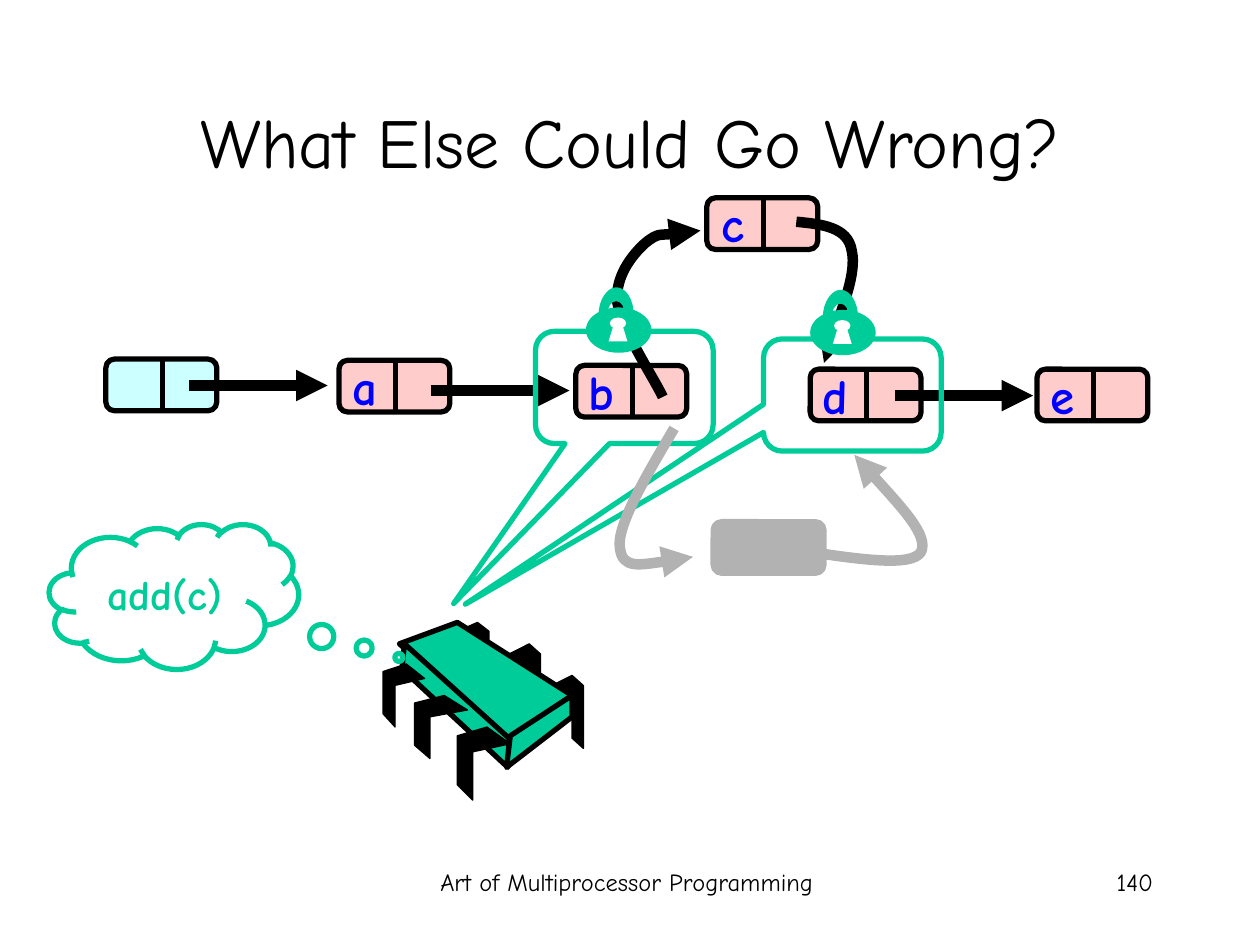
from lxml.etree import SubElement
from pptx import Presentation
from pptx.dml.color import RGBColor
from pptx.enum.shapes import MSO_CONNECTOR, MSO_SHAPE
from pptx.enum.text import MSO_ANCHOR, MSO_AUTO_SIZE, PP_ALIGN
from pptx.oxml.ns import qn
from pptx.util import Inches, Pt

FONT = "Comic Neue"
COLORS = {"black": "000000", "white": "FFFFFF", "blue": "0000FF", "green": "00CC99",
          "pink": "FFCCCC", "cyan": "CCFFFF", "gray": "B2B2B2"}
NODE_SIZE = (0.88, 0.41)


def rgb(name):
    """Return the named colour."""
    return RGBColor.from_string(COLORS[name])


def paint(shape, fill=None, line=None, width=3):
    """Set fill and line of a shape and remove its shadow."""
    shape.shadow.inherit = False
    if fill:
        shape.fill.solid()
        shape.fill.fore_color.rgb = rgb(fill)
    else:
        shape.fill.background()
    if line:
        shape.line.color.rgb = rgb(line)
        shape.line.width = Pt(width)
    else:
        shape.line.fill.background()
    return shape


def add_preset(slide, kind, box, fill=None, line=None, adjustments=()):
    """Add a painted preset shape."""
    s = slide.shapes.add_shape(kind, *map(Inches, box))
    for i, value in enumerate(adjustments):
        s.adjustments[i] = value
    return paint(s, fill, line)


def write(shape, text, size, align, color="black", bold=False):
    """Write one formatted run into a shape."""
    p = shape.text_frame.paragraphs[0]
    p.alignment = align
    r = p.add_run()
    r.text = text
    r.font.name = FONT
    r.font.size = Pt(size)
    r.font.bold = bold
    r.font.color.rgb = rgb(color)


def add_text(slide, box, text, size, align, color="black", bold=False, wrap=True):
    """Add a text box with one run."""
    s = slide.shapes.add_textbox(*map(Inches, box))
    s.text_frame.word_wrap = wrap
    if not wrap:
        s.text_frame.auto_size = MSO_AUTO_SIZE.SHAPE_TO_FIT_TEXT
    write(s, text, size, align, color, bold)


def add_arrowhead(shape):
    """Put a triangle at the end of a line."""
    SubElement(shape.element.spPr.find(qn("a:ln")), qn("a:tailEnd"), type="triangle")


def add_line(slide, start, end, color="black", width=3, arrow=False):
    """Add a straight connector."""
    s = slide.shapes.add_connector(MSO_CONNECTOR.STRAIGHT, *map(Inches, start + end))
    s.line.color.rgb = rgb(color)
    s.line.width = Pt(width)
    if arrow:
        add_arrowhead(s)
    SubElement(s.element.spPr, qn("a:effectLst"))


def add_outline(slide, origin, steps, close=True):
    """Add a freeform whose steps are points or six-number Bezier curves."""
    points = [(Inches(origin[0] + step[i]), Inches(origin[1] + step[i + 1]))
              for step in steps for i in range(0, len(step), 2)]
    builder = slide.shapes.build_freeform(*points[0], scale=1.0)
    builder.add_line_segments(points[1:], close=close)
    s = builder.convert_to_shape()
    segments = iter(list(s.element.iter(qn("a:lnTo"))))
    for step in steps[1:]:
        segment = next(segments)
        if len(step) == 6:
            segment.tag = qn("a:cubicBezTo")
            for _ in range(2):
                extra = next(segments)
                segment.append(extra[0])
                extra.getparent().remove(extra)
    return s


def add_curved_arrow(slide, steps, color="black"):
    """Add an open curve ending in an arrowhead."""
    s = paint(add_outline(slide, (0, 0), steps, close=False), line=color, width=6)
    add_arrowhead(s)


def add_node(slide, left, top, letter="", fill="pink", line="black"):
    """Draw a list node with a divider and an optional letter."""
    width, height = NODE_SIZE
    add_preset(slide, MSO_SHAPE.ROUNDED_RECTANGLE, (left, top, width, height),
               fill, line, [0.167])
    add_line(slide, (left + 0.45, top), (left + 0.45, top + height), line)
    if letter:
        add_text(slide, (left - 0.03, top - 0.08, 0.43, 0.57), letter, 28,
                 PP_ALIGN.RIGHT, "blue", True, False)


def add_leg(slide, box, profile):
    """Draw a chip leg from a profile given in fractions of its box."""
    left, top, width, height = box
    steps = [(x * width, y * height) for x, y in profile]
    paint(add_outline(slide, (left, top), steps), "black", "black", 0.75)


def add_chip(slide, left, top):
    """Draw the processor with three legs on each side."""
    back = [(0, 0.14), (0.64, 0), (1, 0.14), (1, 1), (0.64, 0.86), (0.64, 0.28), (0, 0.43)]
    front = [(0.56, 0), (1, 0.23), (0.29, 0.34), (0.29, 1), (0, 0.79), (0, 0.12)]
    faces = [
        [(0.59, 0), (1.5, 0.58), (0.99, 0.93), (0.13, 0.17)],
        [(0.17, 0.17), (1, 0.92), (0.99, 1.15), (0.15, 0.37)],
        [(1.5, 0.58), (1.5, 0.75), (0.98, 1.15), (1.01, 0.9)],
    ]
    for x, y, height in ((1.34, 0.42, 0.58), (1, 0.17, 0.58), (0.59, 0, 0.5)):
        add_leg(slide, (left + x, top + y, 0.25, height), back)
    for face in faces:
        paint(add_outline(slide, (left, top), face), "green", "black")
    for x, y, width, height in ((0.59, 0.83, 0.42, 0.58), (0.25, 0.58, 0.42, 0.5),
                                (0, 0.33, 0.33, 0.5)):
        add_leg(slide, (left + x, top + y, width, height), front)


def add_lock(slide, left, top):
    """Draw a padlock with a keyhole."""
    add_preset(slide, MSO_SHAPE.OVAL, (left, top + 0.16, 0.52, 0.36), "green")
    add_preset(slide, MSO_SHAPE.OVAL, (left + 0.19, top + 0.24, 0.13, 0.09), "white")
    keyhole = [(0.18, 0.43), (0.22, 0.3), (0.29, 0.3), (0.33, 0.43)]
    shackle = [(0.17, 0.22), (0.17, 0.16, 0.2, 0.11, 0.24, 0.11),
               (0.28, 0.11, 0.31, 0.16, 0.31, 0.22), (0.38, 0.22),
               (0.38, 0.1, 0.32, 0, 0.24, 0), (0.17, 0, 0.1, 0.1, 0.1, 0.22)]
    for steps, color in ((keyhole, "white"), (shackle, "green")):
        paint(add_outline(slide, (left, top), steps), color)


def add_thought(slide, box):
    """Draw the cloud with the method call."""
    s = add_preset(slide, MSO_SHAPE.CLOUD_CALLOUT, box, line="green",
                   adjustments=[0.902, 0.42])
    s.text_frame.vertical_anchor = MSO_ANCHOR.MIDDLE
    write(s, "add(c)", 24, PP_ALIGN.CENTER, "green", True)


def add_list(slide):
    """Draw the linked list, its locks and both insertion paths."""
    add_node(slide, 0.84, 2.85, fill="cyan")
    for left, top, letter in ((2.69, 2.86, "a"), (4.57, 2.9, "b"),
                              (6.43, 2.93, "d"), (8.23, 2.93, "e")):
        add_node(slide, left, top, letter)
    for x, y in ((1.5, 3.06), (3.42, 3.1), (7.1, 3.14)):
        add_line(slide, (x, y), (x + 1.1, y), width=6, arrow=True)
    for left, top, adjustments in ((4.25, 2.63, [-0.961, 1.927, 0.167]),
                                   (6.06, 2.69, [-2.179, 1.865, 0.167])):
        add_preset(slide, MSO_SHAPE.ROUNDED_RECTANGULAR_CALLOUT,
                   (left, top, 1.41, 0.89), line="green", adjustments=adjustments)
    add_curved_arrow(slide, [(5.26, 3.15), (5.19, 3, 4.93, 2.61, 4.9, 2.4),
                             (4.88, 2.2, 5.01, 2.03, 5.12, 1.93),
                             (5.23, 1.84, 5.49, 1.85, 5.56, 1.83)])
    add_node(slide, 5.61, 1.57, "c")
    add_curved_arrow(slide, [(6.32, 1.76), (6.52, 1.78, 6.73, 1.8, 6.76, 1.99),
                             (6.8, 2.17, 6.58, 2.73, 6.54, 2.88)])
    add_lock(slide, 4.65, 2.28)
    add_lock(slide, 6.43, 2.3)
    add_node(slide, 5.66, 4.14, fill="gray", line="gray")
    add_curved_arrow(slide, [(5.35, 3.4), (5.12, 3.79, 4.89, 4.18, 4.92, 4.35),
                             (4.94, 4.52, 5.22, 4.47, 5.5, 4.42)], "gray")
    add_curved_arrow(slide, [(6.42, 4.38), (6.83, 4.44, 7.24, 4.5, 7.31, 4.38),
                             (7.37, 4.25, 7.07, 3.93, 6.78, 3.61)], "gray")


def add_title(slide, box):
    """Place and format the title placeholder."""
    s = slide.shapes.title
    s.left, s.top, s.width, s.height = map(Inches, box)
    s.text_frame.vertical_anchor = MSO_ANCHOR.MIDDLE
    write(s, "What Else Could Go Wrong?", 40, PP_ALIGN.CENTER)


def main():
    """Build the slide and save it."""
    prs = Presentation()
    prs.slide_width, prs.slide_height = Inches(10), Inches(7.5)
    slide = prs.slides.add_slide(prs.slide_layouts[5])
    add_title(slide, (0.75, 0.49, 8.5, 1.25))
    add_text(slide, (3.1, 6.83, 3.75, 0.5), "Art of Multiprocessor Programming", 14,
             PP_ALIGN.CENTER)
    add_text(slide, (7.17, 6.83, 2.08, 0.5), "140", 14, PP_ALIGN.RIGHT)
    add_chip(slide, 3.04, 4.94)
    add_list(slide)
    add_thought(slide, (0.39, 4.16, 1.98, 1.15))
    prs.save("out.pptx")


if __name__ == "__main__":
    main()
